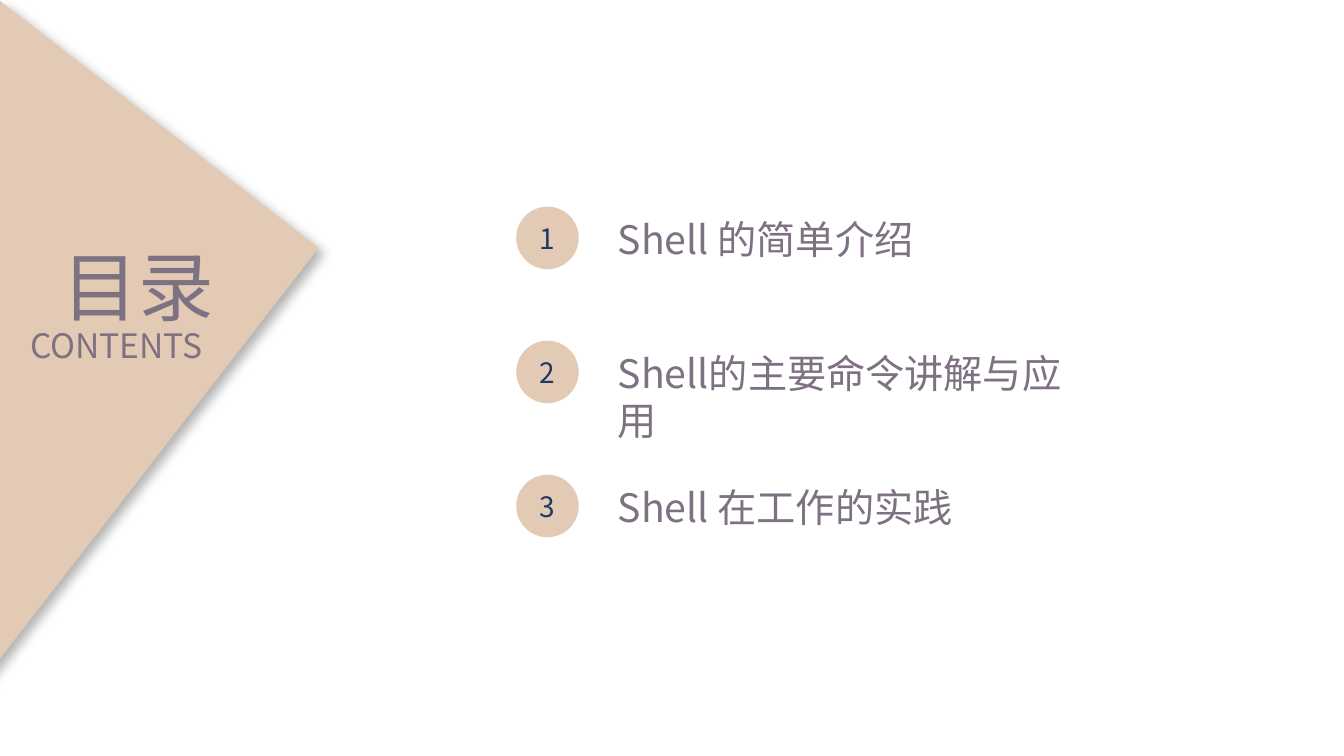
from dataclasses import dataclass

from lxml import etree
from pptx import Presentation
from pptx.dml.color import RGBColor
from pptx.enum.shapes import MSO_SHAPE
from pptx.enum.text import MSO_ANCHOR, MSO_AUTO_SIZE, PP_ALIGN
from pptx.oxml import parse_xml
from pptx.oxml.ns import qn
from pptx.util import Inches, Pt

RIGHT_TRIANGLE, OVAL = MSO_SHAPE.RIGHT_TRIANGLE, MSO_SHAPE.OVAL
TOP, MIDDLE = MSO_ANCHOR.TOP, MSO_ANCHOR.MIDDLE
LEFT, CENTER = PP_ALIGN.LEFT, PP_ALIGN.CENTER
NO_AUTOFIT = MSO_AUTO_SIZE.NONE


@dataclass(frozen=True)
class Theme:
    font: str = "Noto Sans CJK SC"
    sand: RGBColor = RGBColor(0xE3, 0xCA, 0xB4)
    mauve: RGBColor = RGBColor(0x7E, 0x71, 0x82)
    navy: RGBColor = RGBColor(0x20, 0x38, 0x64)
    title: int = 54
    item: int = 28
    subtitle: int = 24
    number: int = 20
    line_height: float = 1.2


THEME = Theme()
SHADOW = """<a:effectLst xmlns:a="http://schemas.openxmlformats.org/drawingml/2006/main">
<a:outerShdw blurRad="101600" dist="76200" dir="2700000" algn="tl" rotWithShape="0">
<a:srgbClr val="000000"><a:alpha val="30000"/></a:srgbClr></a:outerShdw></a:effectLst>"""


def write_text(shape, text, size, color=THEME.mauve, align=LEFT, anchor=TOP):
    frame = shape.text_frame
    frame.auto_size = NO_AUTOFIT
    frame.word_wrap = True
    frame.vertical_anchor = anchor
    paragraph = frame.paragraphs[0]
    paragraph.alignment = align
    paragraph.line_spacing = Pt(size * THEME.line_height)
    run = paragraph.add_run()
    run.text = text
    run.font.name = THEME.font
    run.font.size = Pt(size)
    run.font.color.rgb = color
    east_asian = etree.SubElement(run.font._element, qn("a:ea"))
    east_asian.set("typeface", THEME.font)


def add_sand_shape(kind, left, top, width, height):
    shape = slide.shapes.add_shape(
        kind, Inches(left), Inches(top), Inches(width), Inches(height))
    shape.shadow.inherit = False
    shape.fill.solid()
    shape.fill.fore_color.rgb = THEME.sand
    shape.line.fill.background()
    return shape


presentation = Presentation()
presentation.slide_width = Inches(13.33)
presentation.slide_height = Inches(7.5)
slide = presentation.slides.add_slide(presentation.slide_layouts[5])

# Corner triangle, placed behind the title
triangle = add_sand_shape(RIGHT_TRIANGLE, -3.19, 1.56, 5.91, 4.01)
triangle.rotation = 127.8
properties = triangle._element.spPr
properties.find(qn("a:xfrm")).set("flipV", "1")
properties.replace(properties.find(qn("a:effectLst")), parse_xml(SHADOW))
slide.shapes._spTree.insert(2, triangle._element)

# Headings
title = slide.shapes.title
title.left, title.top = Inches(0.52), Inches(2.33)
title.width, title.height = Inches(1.72), Inches(1.01)
write_text(title, "目录", THEME.title)
subtitle = slide.shapes.add_textbox(
    Inches(0.2), Inches(3.17), Inches(2.05), Inches(0.5))
write_text(subtitle, "CONTENTS", THEME.subtitle)

# Numbered contents: text and width of each entry
ENTRIES = [
    ("Shell 的简单介绍", 3.15),
    ("Shell的主要命令讲解与应用", 4.98),
    ("Shell 在工作的实践", 3.54),
]
FIRST_TOP, PITCH, DIAMETER = 2.05, 1.33, 0.62
for index, (text, width) in enumerate(ENTRIES):
    top = FIRST_TOP + index * PITCH
    circle = add_sand_shape(OVAL, 5.12, top, DIAMETER, DIAMETER)
    write_text(circle, str(index + 1), THEME.number, color=THEME.navy,
               align=CENTER, anchor=MIDDLE)
    entry = slide.shapes.add_textbox(
        Inches(6.03), Inches(top + 0.04), Inches(width), Inches(1.04))
    write_text(entry, text, THEME.item)

presentation.save("out.pptx")
